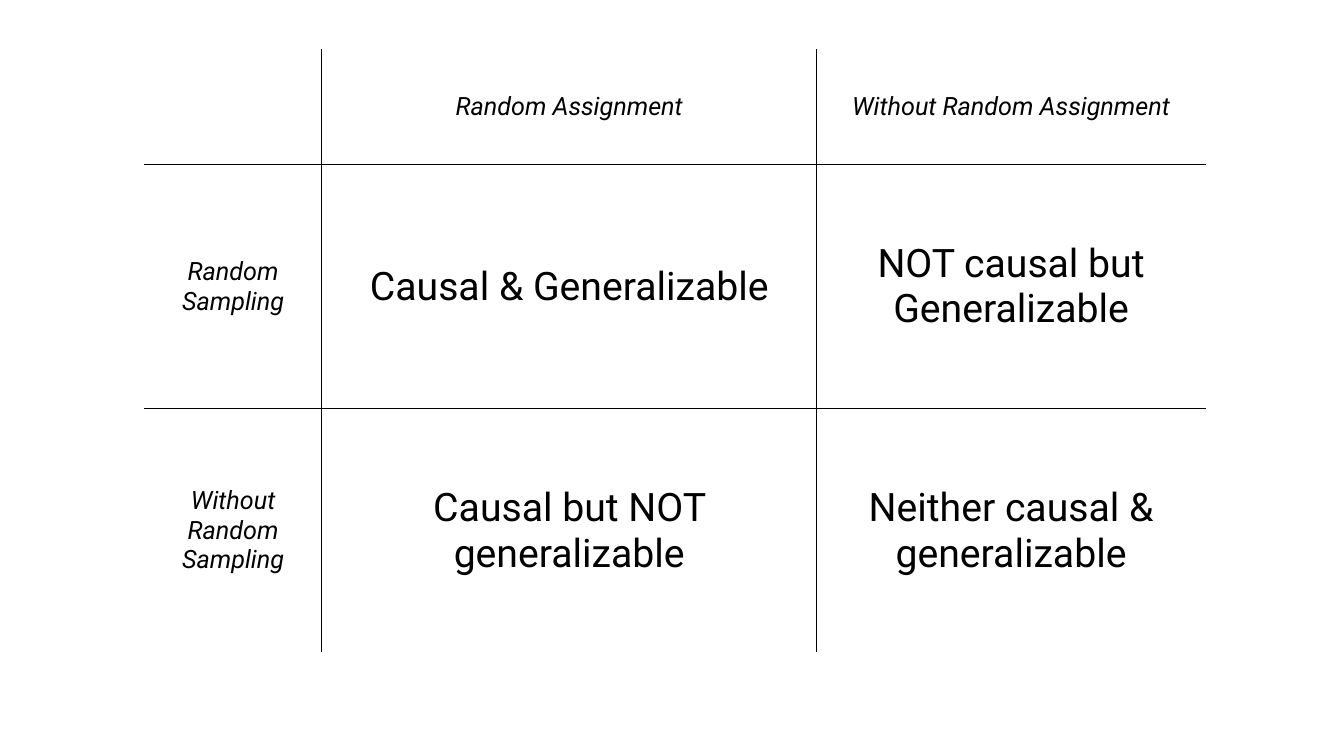
from dataclasses import dataclass

from lxml.etree import SubElement
from pptx import Presentation
from pptx.enum.text import MSO_ANCHOR as Anchor, PP_ALIGN as Align
from pptx.oxml.ns import qn
from pptx.dml.color import RGBColor
from pptx.table import Table, _Cell as Cell
from pptx.util import Cm, Pt

COLORS = {"ink": "000000", "paper": "FFFFFF"}
FONT = "Roboto"
COLUMN_WIDTHS = (4.47, 12.47, 9.8)
ROW_HEIGHTS = (2.9, 6.15, 6.15)


@dataclass(frozen=True)
class CellStyle:
    size: int
    italic: bool


HEADING = CellStyle(size=18, italic=True)
CONCLUSION = CellStyle(size=28, italic=False)

STUDY_DESIGNS = (
    ("", "Random Assignment", "Without Random Assignment"),
    ("Random Sampling", "Causal & Generalizable", "NOT causal but Generalizable"),
    ("Without Random Sampling", "Causal but NOT generalizable",
     "Neither causal & generalizable"),
)


def write_cell(cell: Cell, text: str, style: CellStyle) -> None:
    cell.fill.background()
    cell.vertical_anchor = Anchor.MIDDLE
    cell.text_frame.text = text
    paragraph = cell.text_frame.paragraphs[0]
    paragraph.alignment = Align.CENTER
    for run in paragraph.runs:
        run.font.name = FONT
        run.font.size = Pt(style.size)
        run.font.italic = style.italic
        run.font.color.rgb = RGBColor.from_string(COLORS["ink"])


def draw_borders(cell: Cell, row: int, column: int) -> None:
    """Rule the inner edges in ink and hide the outer ones."""
    outer_edges = {
        "a:lnL": column == 0,
        "a:lnR": column == len(COLUMN_WIDTHS) - 1,
        "a:lnT": row == 0,
        "a:lnB": row == len(ROW_HEIGHTS) - 1,
    }
    properties = cell._tc.get_or_add_tcPr()
    for position, (edge, is_outer) in enumerate(outer_edges.items()):
        line = SubElement(properties, qn(edge), w=str(Pt(1)))
        fill = SubElement(line, qn("a:solidFill"))
        color = COLORS["paper" if is_outer else "ink"]
        SubElement(fill, qn("a:srgbClr"), val=color)
        properties.insert(position, line)  # borders must precede the cell fill


def fill_matrix(matrix: Table) -> None:
    matrix.first_row = False
    matrix.horz_banding = False
    for column, width in zip(matrix.columns, COLUMN_WIDTHS):
        column.width = Cm(width)
    for row, height in zip(matrix.rows, ROW_HEIGHTS):
        row.height = Cm(height)
    for r, texts in enumerate(STUDY_DESIGNS):
        for c, text in enumerate(texts):
            cell = matrix.cell(r, c)
            write_cell(cell, text, HEADING if r == 0 or c == 0 else CONCLUSION)
            draw_borders(cell, r, c)


def main() -> None:
    deck = Presentation()
    deck.slide_width, deck.slide_height = Cm(33.87), Cm(19.05)
    slide = deck.slides.add_slide(deck.slide_layouts[6])
    frame = slide.shapes.add_table(
        len(ROW_HEIGHTS), len(COLUMN_WIDTHS), Cm(3.64), Cm(1.25),
        Cm(sum(COLUMN_WIDTHS)), Cm(sum(ROW_HEIGHTS)))
    fill_matrix(frame.table)
    deck.save("out.pptx")


if __name__ == "__main__":
    main()
